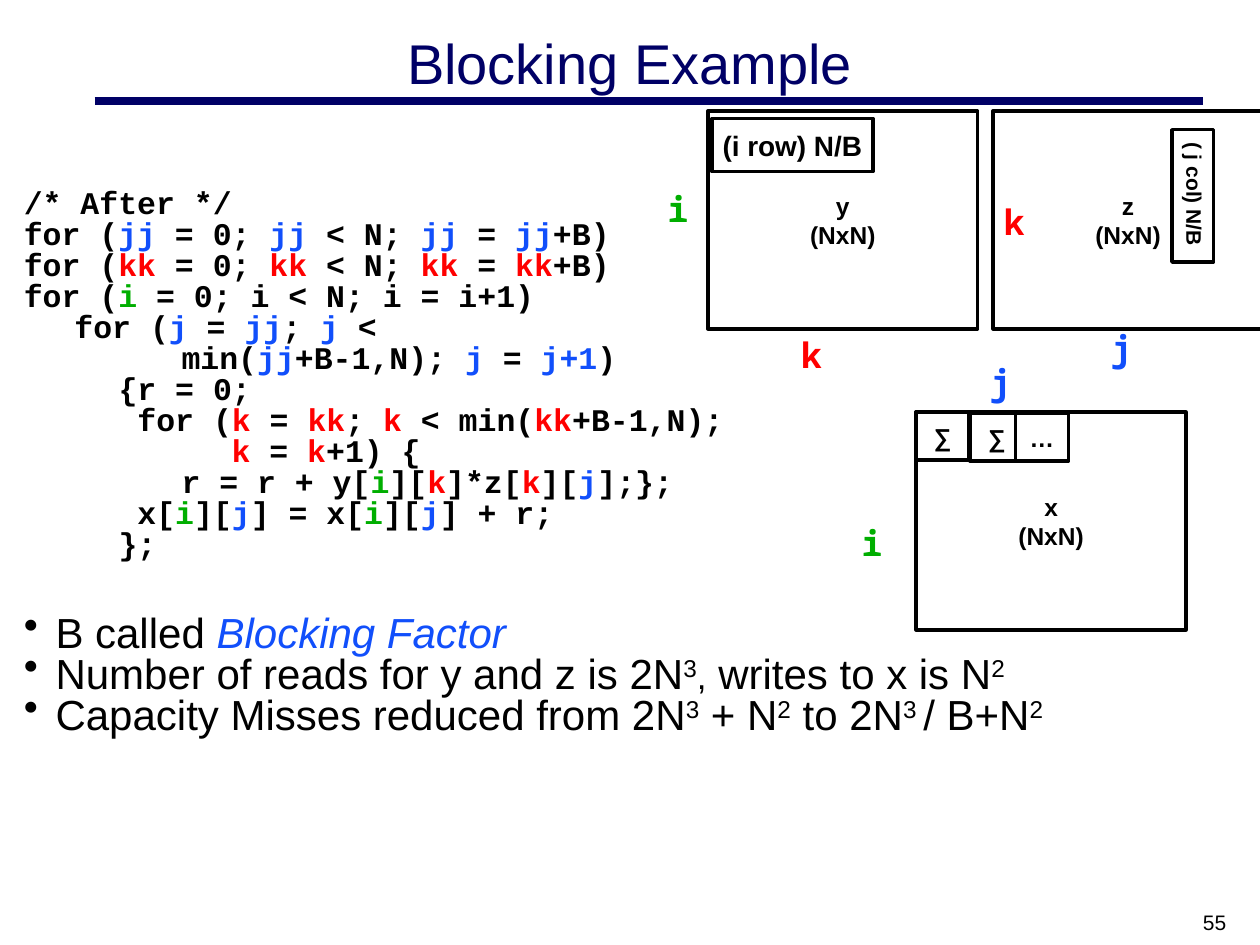
from lxml.etree import SubElement
from pptx import Presentation
from pptx.dml.color import RGBColor
from pptx.enum.shapes import MSO_CONNECTOR, MSO_SHAPE
from pptx.enum.text import MSO_ANCHOR as ANCHOR, PP_ALIGN as ALIGN
from pptx.oxml.ns import qn
from pptx.util import Cm, Pt

NAVY = RGBColor(0x00, 0x00, 0x66)
BLACK = RGBColor(0x00, 0x00, 0x00)
WHITE = RGBColor(0xFF, 0xFF, 0xFF)
BLUE = RGBColor(0x11, 0x4F, 0xFB)
RED = RGBColor(0xFF, 0x00, 0x00)
GREEN = RGBColor(0x00, 0xAE, 0x00)
INDEX_COLORS = {"i": GREEN, "j": BLUE, "k": RED}

TITLE = "Blocking Example"
PAGE = "55"
HANG = 0.64

# Index variables stand between tildes; each line has its left margin.
CODE = [
    (HANG, "/* After */"),
    (HANG, "for (~jj~ = 0; ~jj~ < N; ~jj~ = ~jj~+B)"),
    (HANG, "for (~kk~ = 0; ~kk~ < N; ~kk~ = ~kk~+B)"),
    (HANG, "for (~i~ = 0; i < N; i = i+1)"),
    (HANG, "\t for (~j~ = ~jj~; ~j~ <"),
    (HANG, "\t\t\tmin(~jj~+B-1,N); ~j~ = ~j+1~)"),
    (HANG, "\t\t{r = 0;"),
    (HANG, "\t\t for (~k~ = ~kk~; ~k~ < min(~kk~+B-1,N);"),
    (4.19, "~k~ = ~k~+1) {"),
    (HANG, "\t\t\tr = r + y[~i~][~k~]*z[~k~][~j~];};"),
    (HANG, "\t\t x[~i~][~j~] = x[~i~][~j~] + r;"),
    (HANG, "\t\t};"),
]

PLAIN = {}
SUP = {"sup": True}
BULLETS = [
    [("B called ", PLAIN), ("Blocking Factor", {"color": BLUE, "italic": True})],
    [("Number of reads for y and z is 2N", PLAIN), ("3", SUP), (",", {"size": 20}),
     (" writes to x is N", PLAIN), ("2", SUP)],
    [("Capacity Misses reduced from 2N", PLAIN), ("3", SUP), (" + N", PLAIN),
     ("2", SUP), (" to 2N", PLAIN), ("3 ", SUP), ("/ B+N", PLAIN), ("2", SUP)],
]

CELL = (1.07, 0.97)
MATRIX = (5.44, 4.39)
BOXES = [
    (["∑"], (18.47, 8.31), CELL, 14, WHITE),
    (["∑"], (19.56, 8.33), CELL, 14, WHITE),
    (["…"], (20.47, 8.33), CELL, 14, WHITE),
    (["x", "(NxN)"], (18.47, 8.31), MATRIX, 14, None),
    (["(i row) N/B"], (14.35, 2.39), (3.25, 1.07), 16, WHITE),
    (["y", "(NxN)"], (14.27, 2.24), MATRIX, 14, None),
    (["z", "(NxN)"], (20.02, 2.24), MATRIX, 14, None),
]
COLUMN = (["( j col) N/B"], (22.71, 3.53), (2.67, 0.84), 12, None)

LABELS = [
    ("i", 13.21, 3.66), ("i", 17.12, 10.39),
    ("k", 15.9, 6.6), ("k", 19.99, 3.91),
    ("j", 19.71, 7.14), ("j", 22.15, 6.45),
]


def add_run(p, text, size, name="Arial", color=BLACK, sup=False, **fmt):
    r = p.add_run()
    r.text = text
    r.font.color.rgb = color
    for key, value in {"size": Pt(size), "name": name, **fmt}.items():
        setattr(r.font, key, value)
    if sup:
        r.font._element.set("baseline", "30000")


def add_text(s, box, text, size, align=ALIGN.LEFT, anchor=ANCHOR.TOP, **fmt):
    tf = s.shapes.add_textbox(*map(Cm, box)).text_frame
    tf.word_wrap = True
    tf.vertical_anchor = anchor
    p = tf.paragraphs[0]
    p.alignment = align
    add_run(p, text, size, **fmt)


def add_box(s, lines, at, dims, size, fill, align=ALIGN.CENTER, anchor=ANCHOR.MIDDLE):
    sp = s.shapes.add_shape(MSO_SHAPE.RECTANGLE, *map(Cm, at + dims))
    sp.shadow.inherit = False
    sp.line.color.rgb = BLACK
    sp.line.width = Pt(2)
    if fill is None:
        sp.fill.background()
    else:
        sp.fill.solid()
        sp.fill.fore_color.rgb = fill
    tf = sp.text_frame
    tf.word_wrap = False
    tf.vertical_anchor = anchor
    for n, line in enumerate(lines):
        p = tf.add_paragraph() if n else tf.paragraphs[0]
        p.alignment = align
        add_run(p, line, size, bold=True)
    return sp


def set_paragraph(p, before, left, hanging, bullet=None):
    p.line_spacing = 0.7
    p.space_before = Pt(before)
    pPr = p._p.get_or_add_pPr()
    pPr.set("marL", str(Cm(left)))
    pPr.set("indent", str(-Cm(hanging)))
    if bullet:
        SubElement(pPr, qn("a:buChar")).set("char", bullet)


def add_body(s):
    tf = s.shapes.add_textbox(Cm(0.23), Cm(3.78), Cm(22.96), Cm(14.61)).text_frame
    tf.word_wrap = True
    for n, (left, line) in enumerate(CODE):
        p = tf.add_paragraph() if n else tf.paragraphs[0]
        set_paragraph(p, 2.6, left, HANG if left == HANG else 0)
        for k, part in enumerate(line.split("~")):
            if part:
                color = INDEX_COLORS[part[0]] if k % 2 else BLACK
                add_run(p, part, 18, "Courier New", color, bold=True)
    for n, runs in enumerate(BULLETS):
        p = tf.add_paragraph()
        set_paragraph(p, 3.3 if n else 34, HANG, HANG, "•")
        for text, fmt in runs:
            add_run(p, text, **{"size": 24, **fmt})


def main():
    prs = Presentation()
    prs.slide_width, prs.slide_height = Cm(25.4), Cm(19.05)
    s = prs.slides.add_slide(prs.slide_layouts[6])

    rule = s.shapes.add_connector(
        MSO_CONNECTOR.STRAIGHT, Cm(1.91), Cm(2.03), Cm(24.26), Cm(2.03))
    rule.line.color.rgb = NAVY
    rule.line.width = Pt(4.5)
    SubElement(rule._element.spPr, qn("a:effectLst"))

    add_text(s, (1.27, 0.2, 22.86, 2.11), TITLE, 32,
             ALIGN.CENTER, ANCHOR.MIDDLE, color=NAVY)
    add_body(s)
    for box in BOXES:
        add_box(s, *box)
    add_box(s, *COLUMN, align=ALIGN.LEFT, anchor=ANCHOR.TOP).rotation = 90
    add_text(s, (19.05, 18.21, 5.92, 0.64), PAGE, 12, ALIGN.RIGHT)
    for name, x, y in LABELS:
        add_text(s, (x, y, 0.92, 1.12), name, 20, name="Noto Sans Mono",
                 color=INDEX_COLORS[name], bold=True)
    prs.save("out.pptx")


if __name__ == "__main__":
    main()
